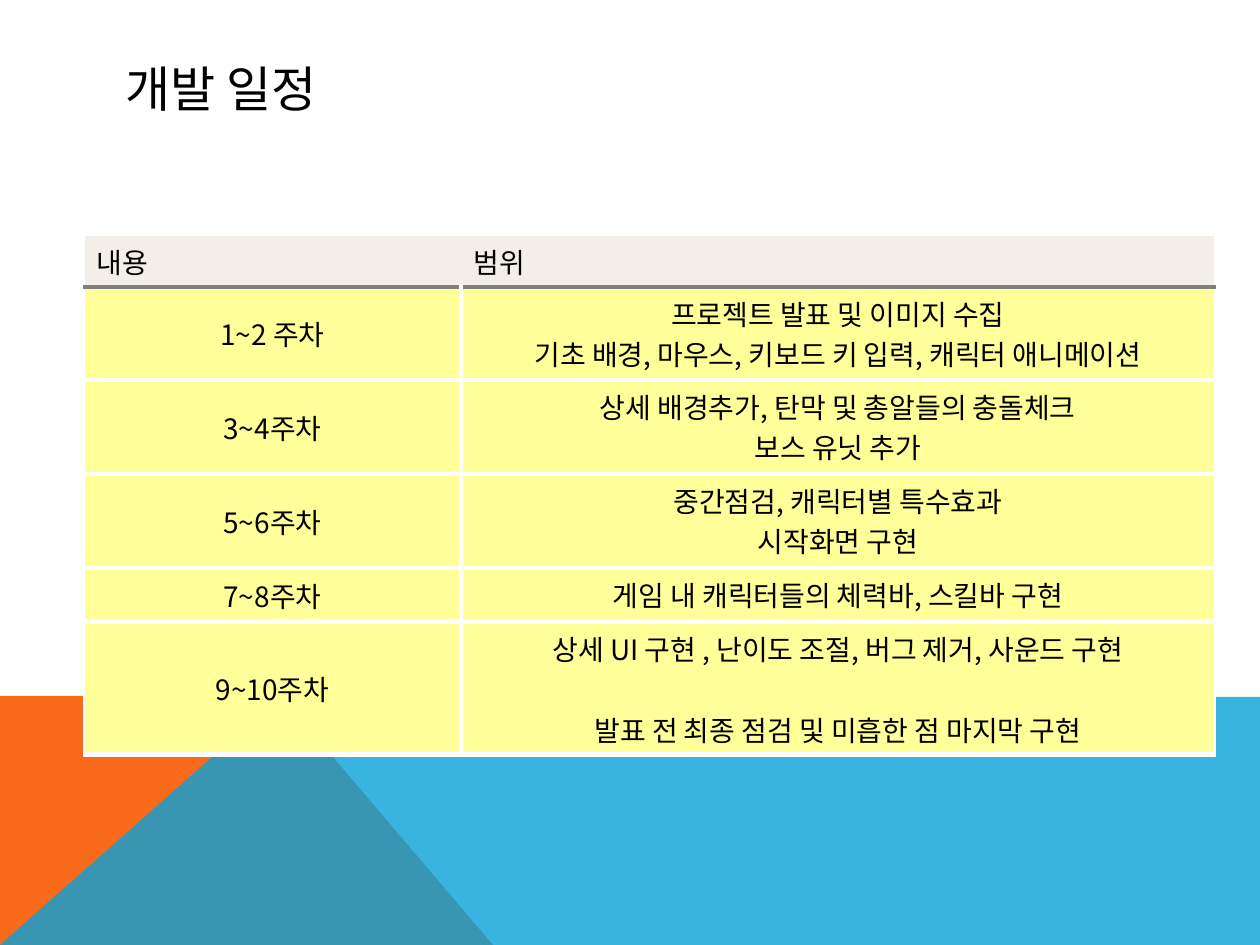
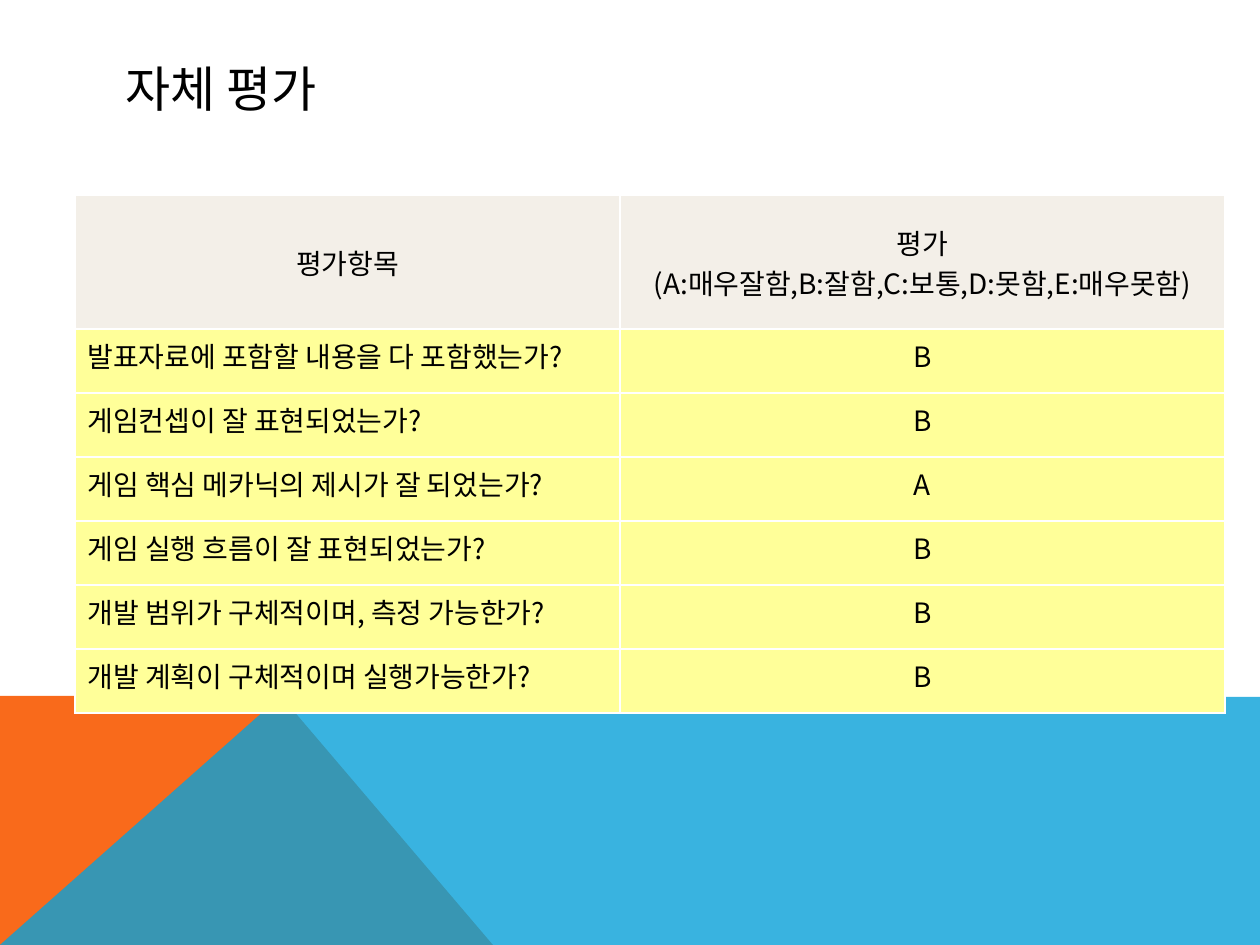
from dataclasses import dataclass, field

from lxml import etree
from pptx import Presentation
from pptx.dml.color import RGBColor as Rgb
from pptx.enum.text import MSO_ANCHOR as Anc, PP_ALIGN as Al
from pptx.oxml.ns import qn
from pptx.util import Pt

SCALE = 914400 / 126  # EMU in one px
WIDE, HIGH = 1260, 945
FACE = "Noto Sans CJK KR"
HUES = {
    "ink": "000000", "white": "FFFFFF", "head": "F3EFE8", "body": "FFFF99",
    "rule": "808080", "flame": "F96A1B", "sky": "08A1D9",
}
TITLE = {"size": Pt(28), "name": "Karla"}
CELL = {"size": Pt(16), "name": FACE}


@dataclass(frozen=True)
class Band:
    hue: str
    alpha: int
    spots: tuple[tuple[int, int], ...]


@dataclass(frozen=True)
class Look:
    """Alignment and anchor of each column, for the head or the body."""
    align: tuple
    anchor: tuple


@dataclass(frozen=True)
class Grid:
    title: str
    left: int
    top: int
    cols: tuple[int, ...]
    rows: tuple[int, ...]
    cells: tuple[tuple[str, str], ...]
    head: Look
    body: Look
    inner: int  # width in pt of the lines between body cells
    rule: tuple[str, int]  # line below the head
    split: tuple[str, float]  # line between head cells
    gaps: dict = field(default_factory=dict)  # pt between paragraphs


BANDS = (
    Band("flame", 100, ((0, 945), (0, 696), (281, 696), (493, 945))),
    Band("sky", 80, ((0, 945), (281, 696), (1260, 697), (1260, 945))),
)

GRIDS = (
    Grid(
        "개발 일정", 84, 235, (377, 754), (52, 93, 94, 94, 54, 133),
        (
            ("내용", "범위"),
            ("1~2 주차", "프로젝트 발표 및 이미지 수집\n"
             "기초 배경, 마우스, 키보드 키 입력, 캐릭터 애니메이션"),
            ("3~4주차", "상세 배경추가, 탄막 및 총알들의 충돌체크\n보스 유닛 추가"),
            ("5~6주차", "중간점검, 캐릭터별 특수효과\n시작화면 구현"),
            ("7~8주차", "게임 내 캐릭터들의 체력바, 스킬바 구현"),
            ("9~10주차", "상세 UI 구현 , 난이도 조절, 버그 제거, 사운드 구현\n"
             "발표 전 최종 점검 및 미흡한 점 마지막 구현"),
        ),
        Look((Al.LEFT, Al.LEFT), (Anc.TOP, Anc.TOP)),
        Look((Al.CENTER, Al.CENTER), (Anc.MIDDLE, Anc.TOP)),
        3, ("rule", 3), ("head", 0.25), {(5, 1): 23},
    ),
    Grid(
        "자체 평가", 75, 195, (545, 605), (134,) + (64,) * 6,
        (
            ("평가항목", "평가\n(A:매우잘함,B:잘함,C:보통,D:못함,E:매우못함)"),
            ("발표자료에 포함할 내용을 다 포함했는가?", "B"),
            ("게임컨셉이 잘 표현되었는가?", "B"),
            ("게임 핵심 메카닉의 제시가 잘 되었는가?", "A"),
            ("게임 실행 흐름이 잘 표현되었는가?", "B"),
            ("개발 범위가 구체적이며, 측정 가능한가?", "B"),
            ("개발 계획이 구체적이며 실행가능한가?", "B"),
        ),
        Look((Al.CENTER, Al.CENTER), (Anc.MIDDLE, Anc.MIDDLE)),
        Look((Al.LEFT, Al.CENTER), (Anc.TOP, Anc.TOP)),
        1, ("white", 1), ("white", 1),
    ),
)


def px(num: int) -> int:
    return round(num * SCALE)


def tint(hue: str) -> Rgb:
    return Rgb.from_string(HUES[hue])


def write(para, text: str, form: dict) -> None:
    run = para.add_run()
    run.text = text
    for key, val in form.items():
        setattr(run.font, key, val)
    run.font.color.rgb = tint("ink")
    # Hangul takes its face from the East Asian slot
    east = etree.Element(qn("a:ea"), typeface=FACE)
    run.font._element.find(qn("a:latin")).addnext(east)


def draw_band(slide, band: Band) -> None:
    pen = slide.shapes.build_freeform(*band.spots[0], scale=SCALE)
    pen.add_line_segments(band.spots[1:], close=True)
    shape = pen.convert_to_shape()
    shape.shadow.inherit = False
    shape.line.fill.background()
    shape.fill.solid()
    shape.fill.fore_color.rgb = tint(band.hue)
    if band.alpha < 100:
        hue = shape._element.spPr.find(".//" + qn("a:srgbClr"))
        etree.SubElement(hue, qn("a:alpha"), val=str(band.alpha * 1000))


def draw_title(slide, text: str) -> None:
    box = slide.shapes.add_textbox(px(113), px(50), px(1035), px(76))
    frame = box.text_frame
    frame.word_wrap = True
    frame.vertical_anchor = Anc.MIDDLE
    write(frame.paragraphs[0], text, TITLE)


def edge(cell, sides: dict) -> None:
    """Add cell borders, in the order left, right, top, bottom."""
    props = cell._tc.get_or_add_tcPr()
    for spot, (side, (hue, wide)) in enumerate(sides.items()):
        line = etree.Element(qn("a:ln" + side), w=str(int(Pt(wide))))
        fill = etree.SubElement(line, qn("a:solidFill"))
        etree.SubElement(fill, qn("a:srgbClr"), val=HUES[hue])
        props.insert(spot, line)


def sides_of(grid: Grid, row: int, col: int) -> dict:
    thin, thick = ("white", 1), ("white", grid.inner)
    mid = thick if row else grid.split
    return {
        "L": mid if col else thin,
        "R": thin if col else mid,
        "T": (thin, grid.rule)[row] if row < 2 else thick,
        "B": thick if row else grid.rule,
    }


def fill_cell(cell, grid: Grid, row: int, col: int) -> None:
    look = grid.body if row else grid.head
    cell.fill.solid()
    cell.fill.fore_color.rgb = tint("body" if row else "head")
    cell.vertical_anchor = look.anchor[col]
    frame = cell.text_frame
    for num, text in enumerate(grid.cells[row][col].split("\n")):
        para = frame.add_paragraph() if num else frame.paragraphs[0]
        para.alignment = look.align[col]
        if num and (row, col) in grid.gaps:
            para.space_before = Pt(grid.gaps[row, col])
        write(para, text, CELL)
    edge(cell, sides_of(grid, row, col))


def draw_grid(slide, grid: Grid) -> None:
    table = slide.shapes.add_table(
        len(grid.rows), len(grid.cols), px(grid.left), px(grid.top),
        px(sum(grid.cols)), px(sum(grid.rows))).table
    table.first_row = table.horz_banding = False
    for col, wide in zip(table.columns, grid.cols):
        col.width = px(wide)
    for row, high in zip(table.rows, grid.rows):
        row.height = px(high)
    for row in range(len(grid.rows)):
        for col in range(len(grid.cols)):
            fill_cell(table.cell(row, col), grid, row, col)


def main() -> None:
    deck = Presentation()
    deck.slide_width, deck.slide_height = px(WIDE), px(HIGH)
    for grid in GRIDS:
        slide = deck.slides.add_slide(deck.slide_layouts[6])
        for band in BANDS:
            draw_band(slide, band)
        draw_title(slide, grid.title)
        draw_grid(slide, grid)
    deck.save("out.pptx")


if __name__ == "__main__":
    main()
